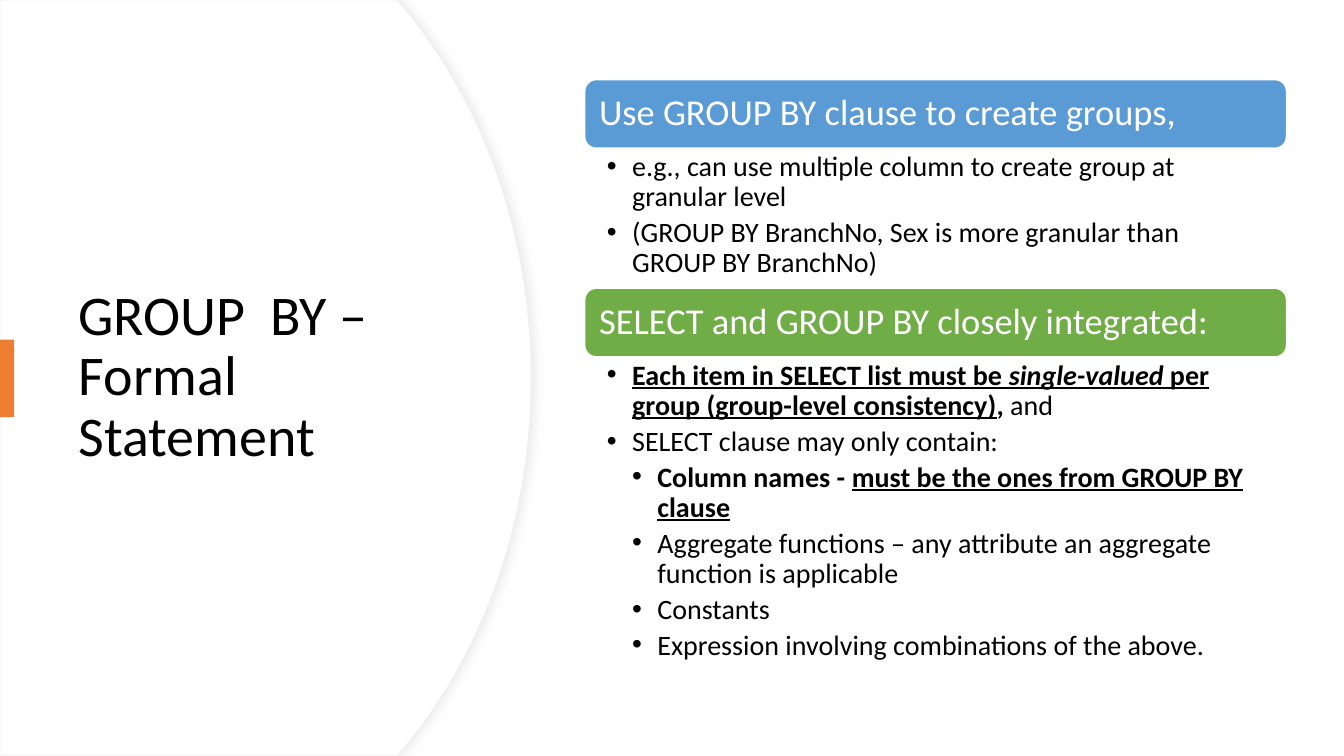
import dataclasses

import lxml.etree
import pptx
import pptx.dml.color
import pptx.enum.shapes
import pptx.enum.text
import pptx.oxml.ns
import pptx.util

Inches = pptx.util.Inches
Pt = pptx.util.Pt
Shapes = pptx.enum.shapes.MSO_SHAPE
Anchor = pptx.enum.text.MSO_ANCHOR


@dataclasses.dataclass(frozen=True)
class Theme:
    font: str = "Calibri"
    title_size: int = 40
    heading_size: int = 26
    body_size: int = 20
    text: str = "000000"
    paper: str = "FFFFFF"
    edge: str = "EFEFEF"
    shade: str = "D9D9D9"
    accent: str = "ED7D31"
    blue: str = "5B9BD5"
    green: str = "70AD47"


def color(value):
    return pptx.dml.color.RGBColor.from_string(value)


def add_element(parent, tag, **attributes):
    return lxml.etree.SubElement(parent, pptx.oxml.ns.qn(tag), attributes)


def set_values(target, values):
    for name, value in values.items():
        setattr(target, name, value)


def curve_points(start, first, second, end, steps=40):
    for step in range(1, steps + 1):
        t = step / steps
        weights = ((1 - t) ** 3, 3 * t * (1 - t) ** 2, 3 * t * t * (1 - t), t ** 3)
        x, y = (sum(w * point[axis] for w, point in zip(weights, (start, first, second, end)))
                for axis in (0, 1))
        yield Inches(x), Inches(y)


class SlideBuilder:
    def __init__(self, slide, theme):
        self.slide = slide
        self.theme = theme

    def paint(self, shape, fill, line=None, width=1):
        shape.shadow.inherit = False
        shape.fill.solid()
        shape.fill.fore_color.rgb = color(fill)
        if line:
            shape.line.color.rgb = color(line)
            shape.line.width = Pt(width)
        else:
            shape.line.fill.background()

    def prepare_frame(self, shape, anchor, insets):
        left, top, right, bottom = map(Inches, insets)
        set_values(shape.text_frame, {
            "word_wrap": True,
            "auto_size": pptx.enum.text.MSO_AUTO_SIZE.NONE,
            "vertical_anchor": anchor,
            "margin_left": left, "margin_top": top,
            "margin_right": right, "margin_bottom": bottom,
        })
        return shape.text_frame

    def fill_paragraph(self, paragraph, runs, size, ink, after=0):
        set_values(paragraph, {
            "alignment": pptx.enum.text.PP_ALIGN.LEFT,
            "line_spacing": 0.9,
            "space_before": Pt(0),
            "space_after": Pt(after),
        })
        for text, style in runs:
            run = paragraph.add_run()
            run.text = text
            set_values(run.font, {"name": self.theme.font, "size": Pt(size), **style})
            run.font.color.rgb = color(ink)

    def panel(self):
        middle, bottom = (5.27, 3.75), 7.5
        shape_builder = self.slide.shapes.build_freeform(0, 0)
        shape_builder.add_line_segments([
            (Inches(3.94), 0), (Inches(4.01), Inches(0.08)),
            *curve_points((4.01, 0.08), (4.79, 1.02), (5.27, 2.32), middle),
            *curve_points(middle, (5.27, 5.18), (4.79, 6.48), (4.01, 7.42)),
            (Inches(3.94), Inches(bottom)), (0, Inches(bottom)),
        ], close=True)
        shape = shape_builder.convert_to_shape()
        self.paint(shape, self.theme.paper, self.theme.edge, 0.75)
        effects = shape._element.spPr.find(pptx.oxml.ns.qn("a:effectLst"))
        shadow = add_element(effects, "a:outerShdw", blurRad=str(Pt(7)), dist=str(Pt(3)),
                             dir="0", algn="l", rotWithShape="0")
        shade = add_element(shadow, "a:srgbClr", val=self.theme.shade)
        add_element(shade, "a:alpha", val="50000")

    def title(self, text, left, top, width, height):
        title = self.slide.shapes.title
        set_values(title, {"left": Inches(left), "top": Inches(top),
                           "width": Inches(width), "height": Inches(height)})
        frame = self.prepare_frame(title, Anchor.MIDDLE, (0.1, 0.05, 0.1, 0.05))
        self.fill_paragraph(frame.paragraphs[0], [(text, {})],
                            self.theme.title_size, self.theme.text)
        self.slide.shapes._spTree.append(title._element)

    def box(self, kind, left, top, width, height, fill, line=None):
        shape = self.slide.shapes.add_shape(
            kind, Inches(left), Inches(top), Inches(width), Inches(height))
        self.paint(shape, fill, line)
        return shape

    def heading(self, text, left, top, width, height, fill):
        bar = self.box(Shapes.ROUNDED_RECTANGLE, left, top, width, height, fill, self.theme.paper)
        frame = self.prepare_frame(bar, Anchor.MIDDLE, (0.11, 0.11, 0.11, 0.11))
        self.fill_paragraph(frame.paragraphs[0], [(text, {})],
                            self.theme.heading_size, self.theme.paper)

    def bullets(self, items, left, top, width, height):
        box = self.slide.shapes.add_textbox(
            Inches(left), Inches(top), Inches(width), Inches(height))
        frame = self.prepare_frame(box, Anchor.TOP, (0.22, 0.04, 0.2, 0.04))
        for index, (level, runs) in enumerate(items):
            paragraph = frame.add_paragraph() if index else frame.paragraphs[0]
            paragraph.level = level
            self.fill_paragraph(paragraph, runs, self.theme.body_size, self.theme.text, after=4)
            properties = paragraph._p.get_or_add_pPr()
            properties.set("marL", str(Inches(0.25 * level)))
            properties.set("indent", str(Inches(-0.25)))
            add_element(properties, "a:buFont", typeface="Arial")
            add_element(properties, "a:buChar", char="•")


def main():
    theme = Theme()
    presentation = pptx.Presentation()
    presentation.slide_width = Inches(13.33)
    presentation.slide_height = Inches(7.5)
    slide = presentation.slides.add_slide(presentation.slide_layouts.get_by_name("Title Only"))
    builder = SlideBuilder(slide, theme)

    builder.panel()
    builder.title("GROUP  BY – Formal Statement", 0.68, 1.27, 3.94, 4.95)
    builder.box(Shapes.RECTANGLE, 0, 3.37, 0.14, 0.77, theme.accent)

    bold = {"bold": True}
    key = {"bold": True, "underline": True}
    sections = [
        ("Use GROUP BY clause to create groups,", theme.blue, 1.39, [
            (1, [("e.g., can use multiple column to create group at granular level", {})]),
            (1, [("(GROUP BY BranchNo, Sex is more granular than GROUP BY BranchNo)", {})]),
        ]),
        ("SELECT and GROUP BY closely integrated:", theme.green, 3.18, [
            (1, [("Each item in SELECT list must be ", key),
                 ("single-valued", {**key, "italic": True}),
                 (" per group (group-level consistency)", key),
                 (", ", bold), ("and", {})]),
            (1, [("SELECT clause may only contain:", {})]),
            (2, [("Column names - ", bold), ("must be the ones from GROUP BY clause", key)]),
            (2, [("Aggregate functions – any attribute an aggregate function is applicable", {})]),
            (2, [("Constants", {})]),
            (2, [("Expression involving combinations of the above.", {})]),
        ]),
    ]
    left, top, width, bar_height = 5.8, 0.79, 6.96, 0.68
    for heading, fill, body_height, items in sections:
        builder.heading(heading, left, top, width, bar_height, fill)
        builder.bullets(items, left, top + bar_height, width, body_height)
        top += bar_height + body_height

    presentation.save("out.pptx")


if __name__ == "__main__":
    main()
